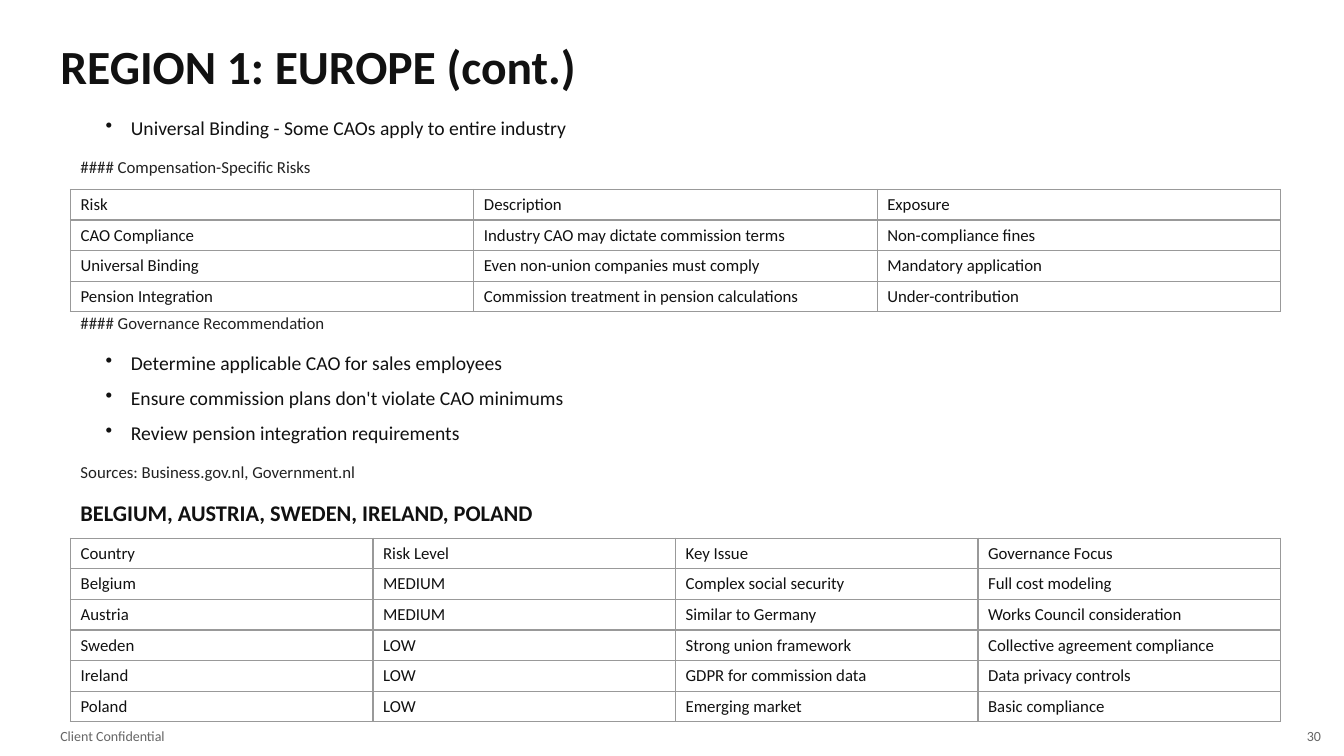
import pptx
import pptx.dml.color
import pptx.enum.text
import pptx.oxml
import pptx.oxml.ns
import pptx.util

Inches, Pt = pptx.util.Inches, pptx.util.Pt
RGB = pptx.dml.color.RGBColor
ALIGN = pptx.enum.text.PP_ALIGN
INK = RGB(0x11, 0x11, 0x11)
SOFT = RGB(0x22, 0x22, 0x22)
GREY = RGB(0x66, 0x66, 0x66)
RULE = RGB(0x99, 0x99, 0x99)
WHITE = RGB(0xFF, 0xFF, 0xFF)
FACE = "Calibri"

TITLE = "REGION 1: EUROPE (cont.)"
FOOTER = "Client Confidential"
NUMBER = "30"
RISKS = [
    ("Risk", "Description", "Exposure"),
    ("CAO Compliance", "Industry CAO may dictate commission terms", "Non-compliance fines"),
    ("Universal Binding", "Even non-union companies must comply", "Mandatory application"),
    ("Pension Integration", "Commission treatment in pension calculations", "Under-contribution"),
]
NATIONS = [
    ("Country", "Risk Level", "Key Issue", "Governance Focus"),
    ("Belgium", "MEDIUM", "Complex social security", "Full cost modeling"),
    ("Austria", "MEDIUM", "Similar to Germany", "Works Council consideration"),
    ("Sweden", "LOW", "Strong union framework", "Collective agreement compliance"),
    ("Ireland", "LOW", "GDPR for commission data", "Data privacy controls"),
    ("Poland", "LOW", "Emerging market", "Basic compliance"),
]
FLOW = [
    ("bullet", "Universal Binding - Some CAOs apply to entire industry"),
    ("note", "#### Compensation-Specific Risks"),
    ("table", RISKS),
    ("note", "#### Governance Recommendation"),
    ("bullet", "Determine applicable CAO for sales employees"),
    ("bullet", "Ensure commission plans don't violate CAO minimums"),
    ("bullet", "Review pension integration requirements"),
    ("note", "Sources: Business.gov.nl, Government.nl"),
    ("head", "BELGIUM, AUSTRIA, SWEDEN, IRELAND, POLAND"),
    ("table", NATIONS),
]
# kind: left, width, height, step to next, size, colour, bold, line spacing
STYLES = {
    "bullet": (0.95, 11.75, 0.3, 0.35, 14, INK, False, 1.15),
    "note": (0.7, 12, 0.35, 0.43, 12, SOFT, False, 1.25),
    "head": (0.7, 12, 0.35, 0.43, 16, INK, True, None),
}
TOP, LEFT, WIDTH = 1.1, 0.7, 12
ROW, ROW_STEP = 0.23, 0.28


def style(par, size, color, bold=False):
    par.font.name = FACE
    par.font.size = Pt(size)
    par.font.bold = bold
    par.font.color.rgb = color


def write(shape, text, size, color, bold=False, align=ALIGN.LEFT):
    frame = shape.text_frame
    frame.word_wrap = True
    frame.auto_size = pptx.enum.text.MSO_AUTO_SIZE.NONE
    frame.vertical_anchor = pptx.enum.text.MSO_ANCHOR.MIDDLE
    frame.text = text
    par = frame.paragraphs[0]
    par.alignment = align
    style(par, size, color, bold)
    return par


def add_text(slide, place, *look, **more):
    box = slide.shapes.add_textbox(*map(Inches, place))
    return write(box, *look, **more)


def add_bullet(par):
    props = par._p.get_or_add_pPr()
    props.set("marL", str(Inches(0.25)))
    props.set("indent", str(Inches(-0.25)))
    mark = pptx.oxml.parse_xml(
        f'<a:buChar {pptx.oxml.ns.nsdecls("a")} char="•"/>')
    props.insert_element_before(mark, "a:tabLst", "a:defRPr", "a:extLst")


def add_borders(cell):
    props = cell._tc.get_or_add_tcPr()
    for side in ("lnL", "lnR", "lnT", "lnB"):
        props.append(pptx.oxml.parse_xml(
            f'<a:{side} {pptx.oxml.ns.nsdecls("a")} w="{Pt(1)}">'
            f'<a:solidFill><a:srgbClr val="{RULE}"/></a:solidFill></a:{side}>'))


def add_grid(slide, top, rows):
    count = len(rows[0])
    place = (LEFT, top, WIDTH, ROW * len(rows))
    grid = slide.shapes.add_table(len(rows), count, *map(Inches, place)).table
    grid.first_row = grid.horz_banding = False
    for col in grid.columns:
        col.width = Inches(WIDTH / count)
    for line, words in zip(grid.rows, rows):
        line.height = Inches(ROW)
        for cell, word in zip(line.cells, words):
            cell.text = word
            style(cell.text_frame.paragraphs[0], 12, INK)
            add_borders(cell)
            cell.fill.solid()
            cell.fill.fore_color.rgb = WHITE


def main():
    deck = pptx.Presentation()
    deck.slide_width, deck.slide_height = Inches(13.33), Inches(7.5)
    slide = deck.slides.add_slide(deck.slide_layouts[5])

    title = slide.shapes.title
    title.left, title.top, title.width, title.height = map(
        Inches, (0.5, 0.3, 12.5, 0.7))
    write(title, TITLE, 34, INK, True)
    add_text(slide, (0.5, 7.18, 6, 0.25), FOOTER, 10, GREY)
    add_text(slide, (12.6, 7.18, 0.6, 0.25), NUMBER, 10, GREY, align=ALIGN.RIGHT)

    top = TOP
    for kind, item in FLOW:
        if kind == "table":
            add_grid(slide, top, item)
            top += ROW_STEP * len(item)
            continue
        left, width, height, step, size, color, bold, spacing = STYLES[kind]
        par = add_text(slide, (left, top, width, height), item, size, color, bold)
        par.line_spacing = spacing
        if kind == "bullet":
            add_bullet(par)
        top += step

    deck.save("out.pptx")


if __name__ == "__main__":
    main()
